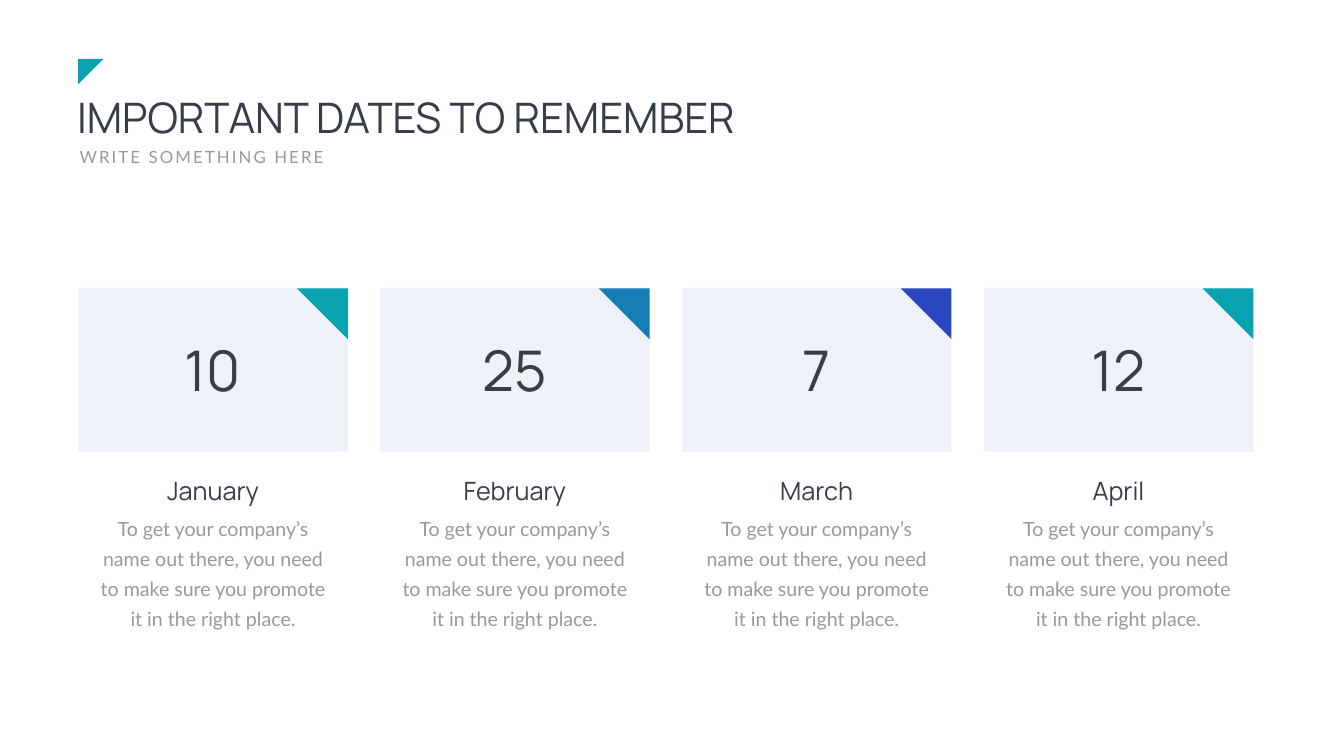
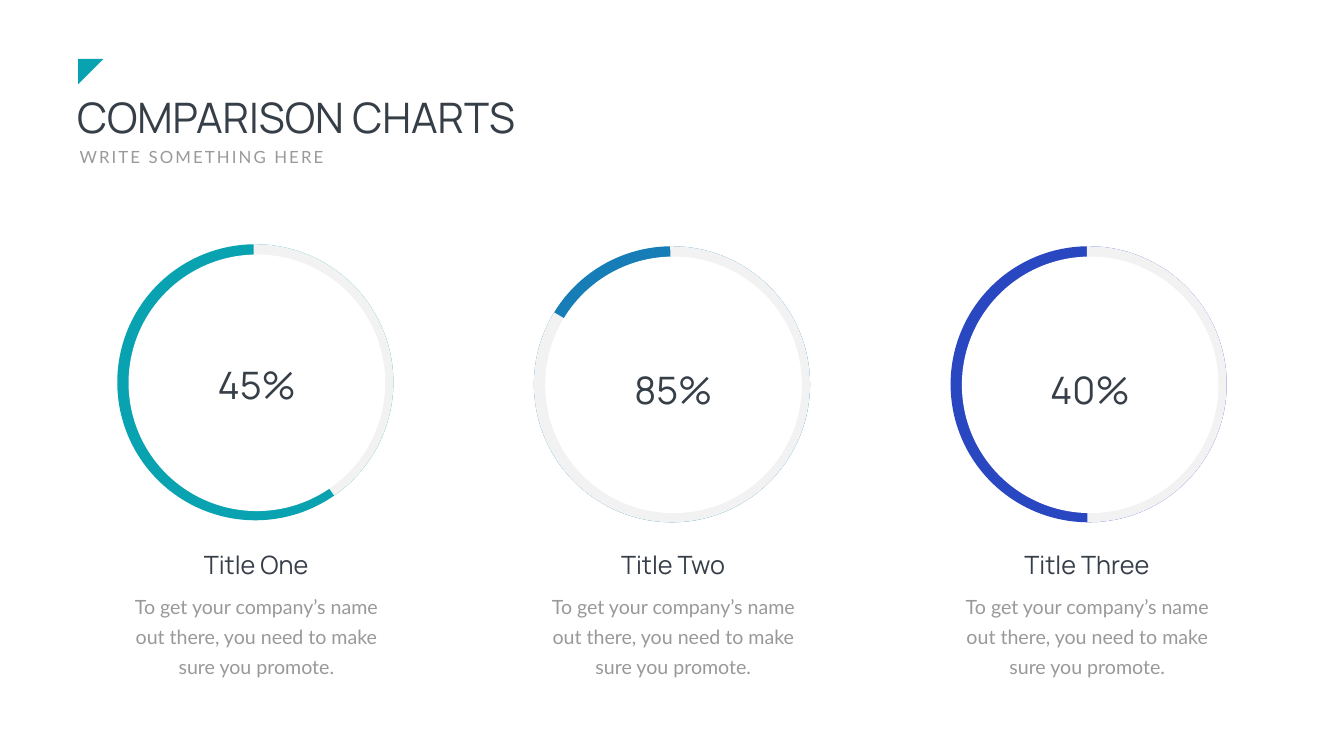
"""Build two slides: a row of important dates and a row of comparison rings."""
from pptx import Presentation
from pptx.dml.color import RGBColor
from pptx.enum import shapes, text
from pptx.util import Inches, Pt

INK, GREY, PANEL, TRACK, WHITE = "363E48", "999999", "EFF1F8", "F2F2F2", "FFFFFF"
TEAL, BLUE, INDIGO = "09A2B1", "167DB7", "2847C0"
PRESET = shapes.MSO_SHAPE
CENTER = text.PP_ALIGN.CENTER
STYLES = {
    "title": {"name": "Manrope", "size": Pt(60)},
    "subtitle": {"name": "Lato", "size": Pt(24)},
    "date": {"name": "Manrope", "size": Pt(80)},
    "percent": {"name": "Manrope", "size": Pt(54)},
    "heading": {"name": "Manrope", "size": Pt(36)},
    "body": {"name": "Lato", "size": Pt(28)},
}


def add_figure(slide, preset, box, fill=None, line=None, rotation=0):
    figure = slide.shapes.add_shape(preset, *map(Inches, box))
    figure.shadow.inherit = False
    figure.rotation = rotation
    if fill:
        figure.fill.solid()
        figure.fill.fore_color.rgb = RGBColor.from_string(fill)
    else:
        figure.fill.background()
    if line:
        figure.line.color.rgb = RGBColor.from_string(line)
        figure.line.width = Pt(25)
    else:
        figure.line.fill.background()
    return figure


def add_words(slide, words, box, style, color=INK, align=CENTER, wrap=True, inset=(0.1, 0.05)):
    frame = slide.shapes.add_textbox(*map(Inches, box)).text_frame
    side, edge = map(Inches, inset)
    layout = {"word_wrap": wrap, "auto_size": text.MSO_AUTO_SIZE.SHAPE_TO_FIT_TEXT,
              "margin_left": side, "margin_right": side, "margin_top": edge, "margin_bottom": edge}
    for name, value in layout.items():
        setattr(frame, name, value)
    paragraph = frame.paragraphs[0]
    paragraph.alignment = align
    if style == "body":
        paragraph.line_spacing = Pt(43)
    run = paragraph.add_run()
    run.text = words
    for name, value in STYLES[style].items():
        setattr(run.font, name, value)
    run.font.color.rgb = RGBColor.from_string(color)
    return run


deck = Presentation()
deck.slide_width, deck.slide_height = Inches(26.66), Inches(15)

pages = []
for title, title_width in (("IMPORTANT DATES TO REMEMBER", 15.41), ("COMPARISON CHARTS", 15.23)):
    page = deck.slides.add_slide(deck.slide_layouts[6])
    add_words(page, title, (1.43, 1.76, title_width, 1.11), "title", align=text.PP_ALIGN.LEFT)
    subtitle = add_words(page, "WRITE SOMETHING HERE", (1.48, 2.87, 5.14, 0.5), "subtitle",
                         GREY, text.PP_ALIGN.LEFT, wrap=False)
    subtitle.font._element.set("spc", "300")
    add_figure(page, PRESET.RIGHT_TRIANGLE, (1.55, 1.17, 0.5, 0.5), TEAL, rotation=90)
    pages.append(page)
dates_page, rings_page = pages

dates = [("10", "January", TEAL), ("25", "February", BLUE),
         ("7", "March", INDIGO), ("12", "April", TEAL)]
date_note = "To get your company’s name out there, you need to make sure you promote it in the right place."
for column, (day, month, accent) in enumerate(dates):
    left = 1.56 + column * 5.987
    add_figure(dates_page, PRESET.RECTANGLE, (left, 5.71, 5.34, 3.25), PANEL)
    add_figure(dates_page, PRESET.RIGHT_TRIANGLE, (left + 4.33, 5.72, 1.01, 1.01), accent, rotation=180)
    add_words(dates_page, day, (left + 0.57, 6.61, 4.19, 1.45), "date")
    add_words(dates_page, month, (left + 0.57, 9.38, 4.19, 0.71), "heading")
    add_words(dates_page, date_note, (left + 0.19, 10.08, 4.95, 2.46), "body", GREY)

rings = [
    ("45%", "Title One", TEAL, TEAL, 33.11, 5.02, 7.13, 2.42, 5.08),
    ("85%", "Title Two", BLUE, INDIGO, 126.86, 5.06, 7.22, 2.41, 13.35),
    ("40%", "Title Three", INDIGO, TEAL, 54.35, 5.06, 7.22, 2.81, 21.56),
]
ring_note = "To get your company’s name out there, you need to make sure you promote."
for column, (percent, heading, accent, core, arc_end, top, percent_top,
             heading_width, caption_center) in enumerate(rings):
    left = 2.5 + column * 8.265
    ring = (left, top, 5.13, 5.13)
    add_figure(rings_page, PRESET.OVAL, ring, core, accent)
    track = add_figure(rings_page, PRESET.ARC, ring, line=TRACK)
    track.adjustments[0], track.adjustments[1] = 161.56, arc_end
    add_figure(rings_page, PRESET.OVAL, (left + 0.05, top + 0.03, 5.09, 5.09), WHITE)
    add_words(rings_page, percent, (left + 1.7, percent_top, 1.78, 1.01), "percent", wrap=False)
    add_words(rings_page, heading, (caption_center - heading_width / 2, 10.84, heading_width, 0.71),
              "heading", wrap=False)
    add_words(rings_page, ring_note, (caption_center - 2.87, 11.55, 5.75, 1.99), "body", GREY,
              inset=(0.24, 0.12))

deck.save("out.pptx")
